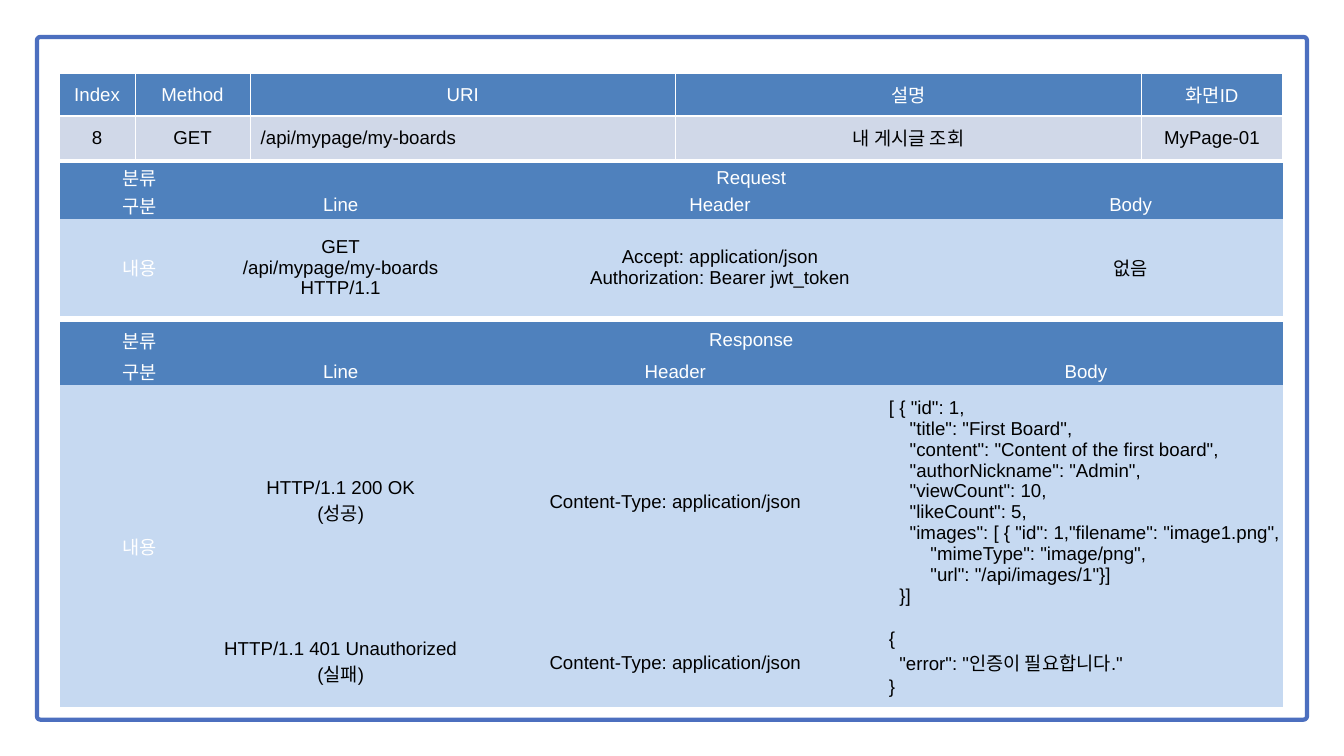
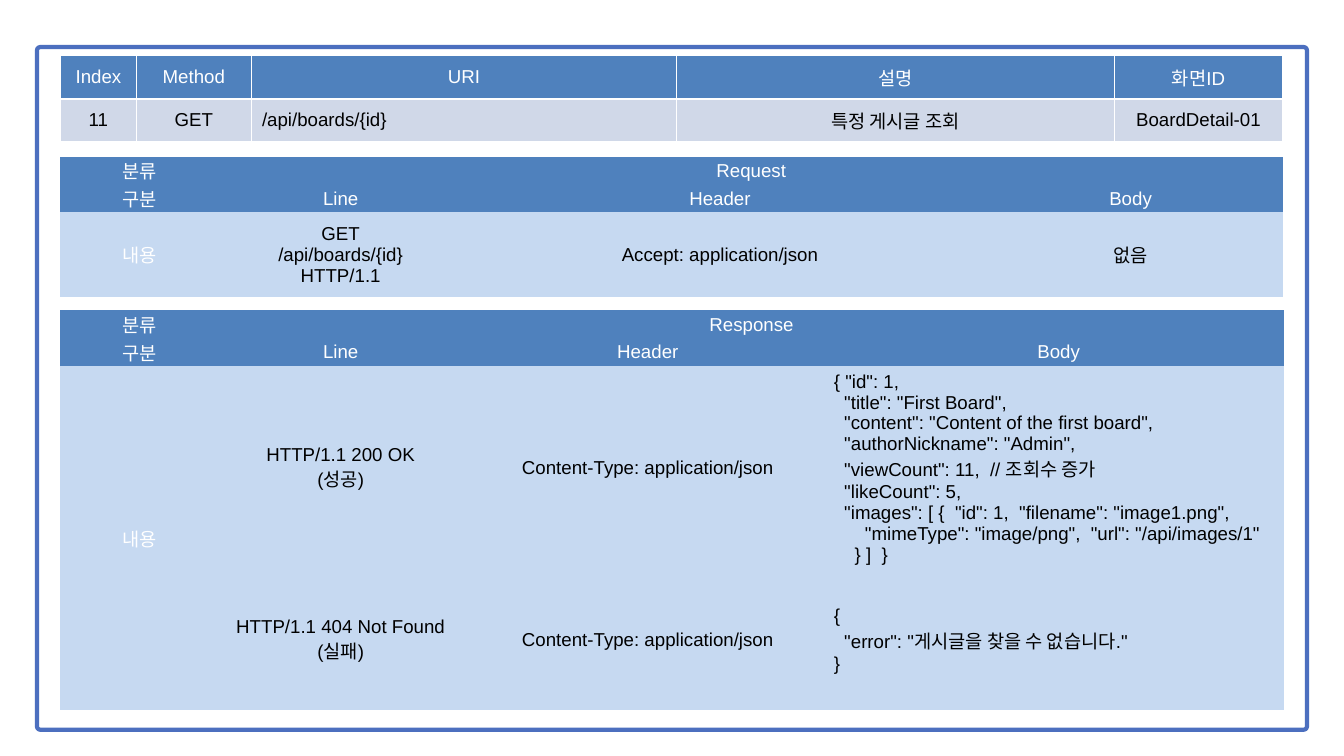
from lxml.etree import SubElement
from pptx import Presentation
from pptx.dml.color import RGBColor
from pptx.enum.shapes import MSO_SHAPE
from pptx.enum.text import MSO_ANCHOR, PP_ALIGN
from pptx.oxml.ns import qn
from pptx.util import Emu, Pt

EMU_PER_PX = 9144  # 100 px to the inch
SLIDE_WIDTH, SLIDE_HEIGHT = 2000, 1125
NO_STYLE_NO_GRID = "{2D5ABB26-0587-4C30-8999-92F81FD0307C}"
WHITE, BLACK = "FFFFFF", "000000"
FRAME_BLUE, HEADER_BLUE = "4C6FBF", "4F81BD"
CONTENT_BLUE, SUMMARY_GREY = "C6D9F1", "D0D8E8"
SUMMARY_HEADINGS = ["Index", "Method", "URI", "설명", "화면ID"]
JSON_HEADER = "Content-Type: application/json"

BOARD_LIST = """[ { "id": 1,
    "title": "First Board",
    "content": "Content of the first board",
    "authorNickname": "Admin",
    "viewCount": 10,
    "likeCount": 5,
    "images": [ { "id": 1,"filename": "image1.png",
        "mimeType": "image/png",
        "url": "/api/images/1"}]
  }]"""

BOARD_DETAIL = """{ "id": 1,
  "title": "First Board",
  "content": "Content of the first board",
  "authorNickname": "Admin",
  "viewCount": 11,  // 조회수 증가
  "likeCount": 5,
  "images": [ {  "id": 1,  "filename": "image1.png",
      "mimeType": "image/png",  "url": "/api/images/1"
    } ]  }"""


def px(length):
    return Emu(length * EMU_PER_PX)


def color(hex_string):
    return RGBColor.from_string(hex_string)


def error_body(message):
    return f'{{\n  "error": "{message}"\n}}'


class ApiSheet:
    """One slide describing one API endpoint."""

    font_name = "Arial"
    font_size = Pt(20)

    def __init__(self, presentation):
        self.slide = presentation.slides.add_slide(presentation.slide_layouts[6])

    def frame(self, top):
        shape = self.slide.shapes.add_shape(
            MSO_SHAPE.ROUNDED_RECTANGLE, px(55), px(top), px(1890), px(1016))
        shape.adjustments[0] = 0.005
        shape.shadow.inherit = False
        shape.fill.solid()
        shape.fill.fore_color.rgb = color(WHITE)
        shape.line.color.rgb = color(FRAME_BLUE)
        shape.line.width = Pt(4.5)

    def table(self, left, top, columns, rows):
        """Add an empty table without style; columns and rows list sizes in px."""
        graphic_frame = self.slide.shapes.add_table(
            len(rows), len(columns), px(left), px(top), px(sum(columns)), px(sum(rows)))
        table = graphic_frame.table
        table.first_row = table.horz_banding = False
        table._tbl.tblPr.find(qn("a:tableStyleId")).text = NO_STYLE_NO_GRID
        for column, width in zip(table.columns, columns):
            column.width = px(width)
        for row, height in zip(table.rows, rows):
            row.height = px(height)
        return table

    def cell(self, cell, text, fill, text_color, margins, alignment=PP_ALIGN.CENTER):
        cell.margin_left = cell.margin_right = px(margins[0])
        cell.margin_top, cell.margin_bottom = px(margins[1]), px(margins[2])
        cell.vertical_anchor = MSO_ANCHOR.MIDDLE
        cell.fill.solid()
        cell.fill.fore_color.rgb = color(fill)
        cell.text_frame.text = text
        for paragraph in cell.text_frame.paragraphs:
            paragraph.alignment = alignment
            for run in paragraph.runs:
                run.font.name = self.font_name
                run.font.size = self.font_size
                run.font.color.rgb = color(text_color)

    def borders(self, cell, bottom_width):
        """Draw white borders, 1 pt on all sides but the bottom."""
        properties = cell._tc.get_or_add_tcPr()
        widths = {"lnL": 1, "lnR": 1, "lnT": 1, "lnB": bottom_width}
        for index, (side, width) in enumerate(widths.items()):
            line = SubElement(properties, qn(f"a:{side}"), w=str(Pt(width)))
            fill = SubElement(line, qn("a:solidFill"))
            SubElement(fill, qn("a:srgbClr"), val=WHITE)
            properties.insert(index, line)

    def summary(self, left, top, columns, values):
        table = self.table(left, top, columns, [64, 64])
        margins = (16, 8, 8)
        for index, (heading, value) in enumerate(zip(SUMMARY_HEADINGS, values)):
            alignment = PP_ALIGN.LEFT if heading == "URI" else PP_ALIGN.CENTER
            self.cell(table.cell(0, index), heading, HEADER_BLUE, WHITE, margins)
            self.cell(table.cell(1, index), value, SUMMARY_GREY, BLACK, margins, alignment)
            self.borders(table.cell(0, index), 3)
            self.borders(table.cell(1, index), 1)

    def message(self, title, top, columns, rows, contents):
        """Add a request or response table; contents lists line, header and body."""
        table = self.table(90, top, columns, rows)
        texts = [["분류", title, "", ""], ["구분", "Line", "Header", "Body"]]
        texts += [["내용" if index == 0 else "", *content]
                  for index, content in enumerate(contents)]
        for row, row_texts in enumerate(texts):
            for column, text in enumerate(row_texts):
                is_heading = row < 2
                is_code = text.startswith(("{", "["))
                self.cell(table.cell(row, column), text,
                          HEADER_BLUE if is_heading else CONTENT_BLUE,
                          WHITE if is_heading or column == 0 else BLACK,
                          (1, 1, 0),
                          PP_ALIGN.LEFT if is_code else PP_ALIGN.CENTER)
        table.cell(0, 1).merge(table.cell(0, 3))
        if len(contents) > 1:
            table.cell(2, 0).merge(table.cell(len(texts) - 1, 0))


def add_my_boards(presentation):
    sheet = ApiSheet(presentation)
    sheet.frame(55)
    sheet.message("Request", 243, [236, 362, 767, 455], [28, 24, 144], [
        ["GET\n/api/mypage/my-boards HTTP/1.1",
         "Accept: application/json\nAuthorization: Bearer jwt_token", "없음"]])
    sheet.message("Response", 479, [236, 362, 634, 588], [53, 39, 346, 133], [
        ["HTTP/1.1 200 OK\n(성공)", JSON_HEADER, BOARD_LIST],
        ["HTTP/1.1 401 Unauthorized\n(실패)", JSON_HEADER,
         error_body("인증이 필요합니다.")]])
    sheet.summary(88, 109, [113, 171, 633, 694, 209],
                  ["8", "GET", "/api/mypage/my-boards", "내 게시글 조회", "MyPage-01"])


def add_board_detail(presentation):
    sheet = ApiSheet(presentation)
    sheet.frame(70)
    sheet.message("Request", 233, [236, 362, 767, 455], [25, 23, 126], [
        ["GET\n/api/boards/{id}\nHTTP/1.1", "Accept: application/json", "없음"]])
    sheet.message("Response", 462, [236, 362, 552, 671], [41, 41, 303, 209], [
        ["HTTP/1.1 200 OK\n(성공)", JSON_HEADER, BOARD_DETAIL],
        ["HTTP/1.1 404 Not Found\n(실패)", JSON_HEADER,
         error_body("게시글을 찾을 수 없습니다.")]])
    sheet.summary(90, 83, [113, 171, 633, 651, 251],
                  ["11", "GET", "/api/boards/{id}", "특정 게시글 조회", "BoardDetail-01"])


def main():
    presentation = Presentation()
    presentation.slide_width = px(SLIDE_WIDTH)
    presentation.slide_height = px(SLIDE_HEIGHT)
    add_my_boards(presentation)
    add_board_detail(presentation)
    presentation.save("out.pptx")


if __name__ == "__main__":
    main()
